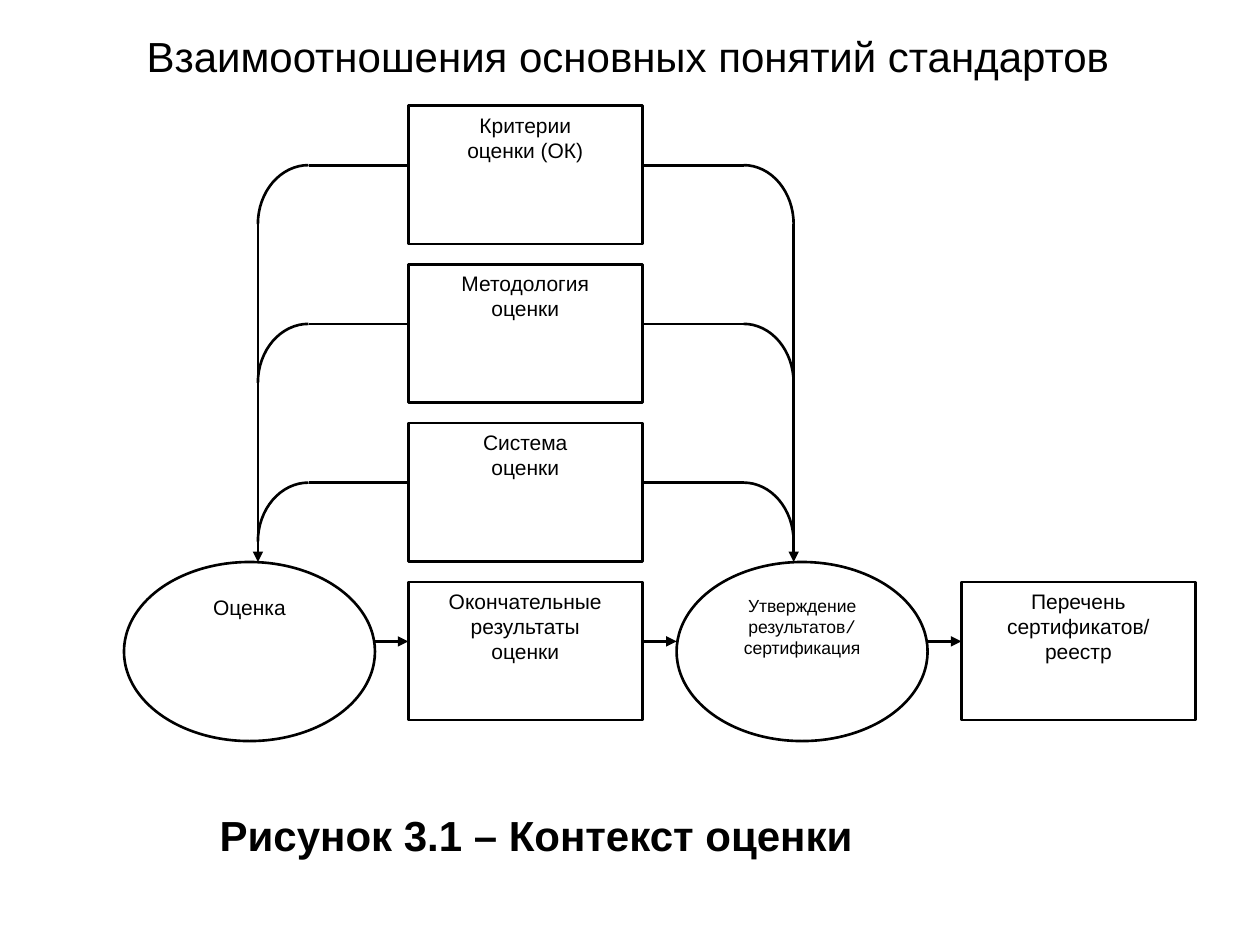
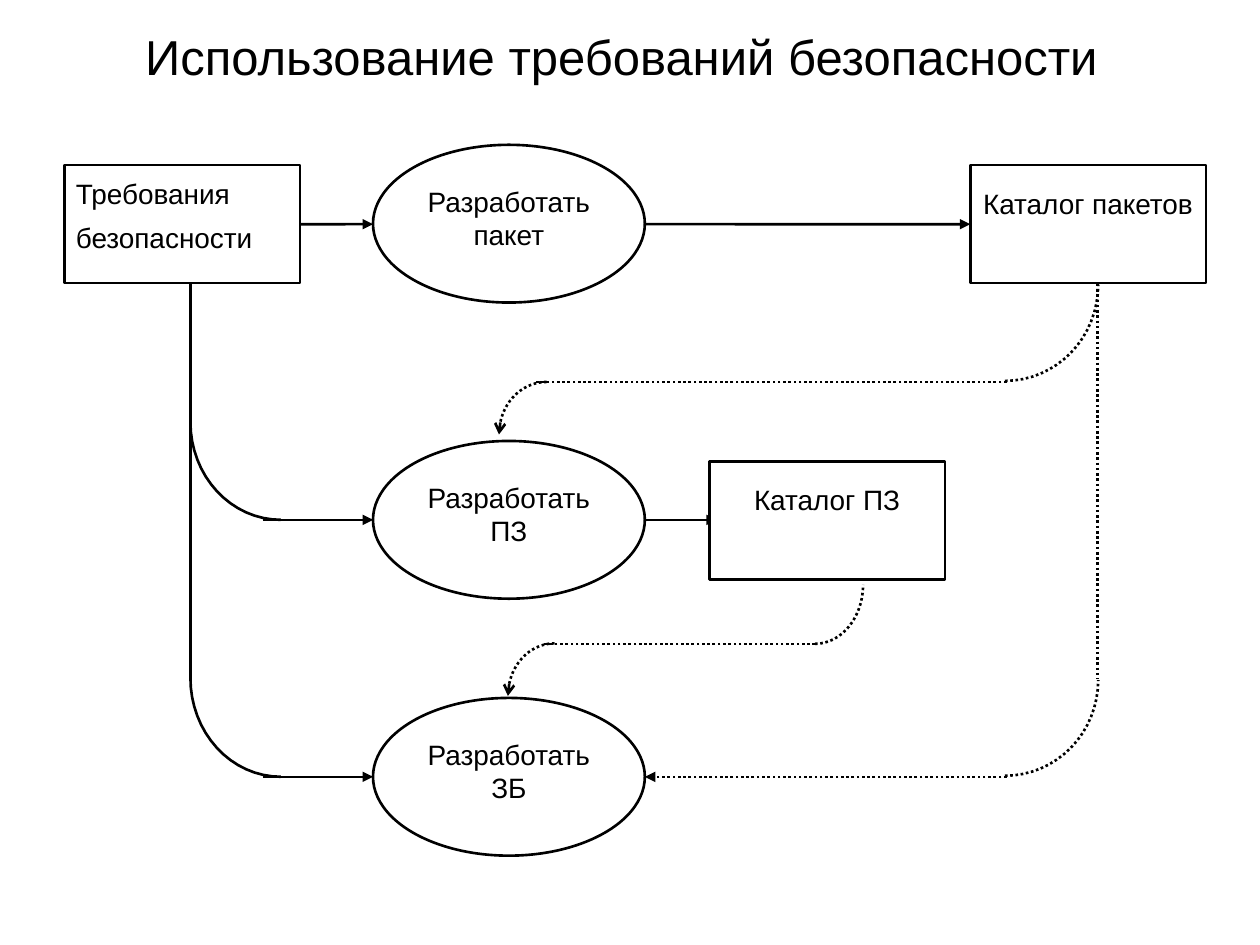
"""Builds two slides of diagrams on security evaluation."""
from dataclasses import dataclass
from math import cos, pi, sin

from lxml import etree
from pptx import Presentation
from pptx.dml.color import RGBColor
from pptx.enum.dml import MSO_LINE
from pptx.enum.shapes import MSO_CONNECTOR, MSO_SHAPE
from pptx.enum.text import MSO_ANCHOR, PP_ALIGN
from pptx.oxml.ns import qn
from pptx.util import Cm, Pt

RECT, OVAL = MSO_SHAPE.RECTANGLE, MSO_SHAPE.OVAL
STRAIGHT, DOTS = MSO_CONNECTOR.STRAIGHT, MSO_LINE.ROUND_DOT
TOP, MIDDLE, BOTTOM = MSO_ANCHOR.TOP, MSO_ANCHOR.MIDDLE, MSO_ANCHOR.BOTTOM
LEFT, CENTER = PP_ALIGN.LEFT, PP_ALIGN.CENTER


@dataclass(frozen=True)
class Theme:
    ink: RGBColor = RGBColor(0, 0, 0)
    paper: RGBColor = RGBColor(255, 255, 255)
    face: str = "Arial"
    mono: str = "Courier New"
    line: float = 1.5
    tiny: int = 10
    small: int = 12
    body: int = 16
    head: int = 24
    large: int = 28


THEME = Theme()


def add_box(slide, kind, frame, lines, size, inset=0.13, anchor=TOP,
            align=CENTER, after=0, bold=None):
    place = [Cm(n) for n in frame]
    if kind is None:
        box = slide.shapes.add_textbox(*place)
    else:
        box = slide.shapes.add_shape(kind, *place)
        box.shadow.inherit = False
        box.fill.solid()
        box.fill.fore_color.rgb = THEME.paper
        box.line.color.rgb = THEME.ink
        box.line.width = Pt(THEME.line)
    frame = box.text_frame
    frame.word_wrap = True
    frame.vertical_anchor = anchor
    frame.margin_left = frame.margin_right = Cm(0.23)
    frame.margin_top, frame.margin_bottom = Cm(inset), Cm(0.13)
    for i, line in enumerate(lines):
        para = frame.paragraphs[0] if i == 0 else frame.add_paragraph()
        para.alignment = align
        para.space_after = Pt(after)
        for text, face in [(line, THEME.face)] if isinstance(line, str) else line:
            run = para.add_run()
            run.text = text
            run.font.name = face
            run.font.size = Pt(size)
            run.font.bold = bold
            run.font.color.rgb = THEME.ink
    return box


def ink_line(shape, tip=None, dash=None):
    shape.line.color.rgb = THEME.ink
    shape.line.width = Pt(THEME.line)
    if dash:
        shape.line.dash_style = dash
    props = shape._element.spPr
    if tip:
        etree.SubElement(props.find(qn("a:ln")), qn("a:tailEnd"), type=tip)
    etree.SubElement(props, qn("a:effectLst"))


deck = Presentation()
deck.slide_width, deck.slide_height = Cm(25.4), Cm(19.05)
blank = deck.slide_layouts[6]

titles = [
    ("Взаимоотношения основных понятий стандартов", THEME.head),
    ("Использование требований безопасности ", THEME.large),
]
for title, size in titles:
    slide = deck.slides.add_slide(blank)
    add_box(slide, None, (0.41, 0.13, 24.5, 2), [title], size, anchor=MIDDLE)
terms, needs = deck.slides

wide, high, step = 4.72, 2.79, 3.2
stack = [
    ("Критерии", "оценки (ОК)"),
    ("Методология", "оценки"),
    ("Система", "оценки"),
    ("Окончательные", "результаты", "оценки"),
]
for i, lines in enumerate(stack):
    add_box(terms, RECT, (8.23, 2.13 + i * step, wide, high), lines, THEME.small)
add_box(terms, RECT, (19.38, 11.73, wide, high),
        ("Перечень", "сертификатов/", "реестр"), THEME.small)
verdict = [("Утверждение результатов", THEME.face), ("/ ", THEME.mono),
           ("сертификация", THEME.face)]
ovals = [(2.5, "Оценка", THEME.small), (13.64, verdict, THEME.tiny)]
for x, line, size in ovals:
    add_box(terms, OVAL, (x, 11.33, 5.06, 3.61), [line], size)
add_box(terms, None, (4.17, 14.17, 13.28, 3.3),
        ["Рисунок 3.1 – Контекст оценки"], THEME.head, anchor=BOTTOM, bold=True)

for y, goal in [(2.92, "пакет"), (8.89, "ПЗ"), (14.07, "ЗБ")]:
    add_box(needs, OVAL, (7.52, y, 5.48, 3.18), ("Разработать", goal),
            THEME.body, inset=0.33)
source = add_box(needs, RECT, (1.3, 3.33, 4.75, 2.38),
                 ("Требования", "безопасности"), THEME.body,
                 inset=0.23, align=LEFT, after=6)
packs = add_box(needs, RECT, (19.56, 3.33, 4.75, 2.38),
                ["Каталог пакетов"], THEME.body, inset=0.43)

head = "triangle"
lines = [(terms, a, 12.93, b, 12.93, head, None)
         for a, b in [(7.56, 8.23), (12.95, 13.64), (18.7, 19.38)]]
lines += [(terms, x, 4.52, x, 11.33, head, None) for x in (5.2, 16)]
curves = []
for i in range(3):
    y = 3.33 + i * step
    for side, bend, rail in [(8.23, 6.22, 5.2), (12.95, 14.99, 16)]:
        lines.append((terms, side, y, bend, y, None, None))
        curves.append((terms, bend, y, rail, y + 1.19, None, None))

lines += [
    (needs, 13, 10.48, 14.45, 10.48, head, None),
    (needs, 3.84, 5.72, 3.84, 13.69, None, None),
    (needs, 5.31, 10.48, 7.52, 10.48, head, None),
    (needs, 5.31, 15.66, 7.52, 15.66, head, None),
    (needs, 20.29, 7.7, 10.8, 7.7, None, DOTS),
    (needs, 22.12, 5.72, 22.12, 13.69, None, DOTS),
    (needs, 20.29, 15.66, 13, 15.66, head, DOTS),
    (needs, 16.43, 12.98, 10.95, 12.98, None, DOTS),
]
curves += [
    (needs, 5.66, 10.48, 3.84, 8.51, None, None),
    (needs, 5.66, 15.66, 3.84, 13.67, None, None),
    (needs, 20.26, 7.68, 22.14, 5.74, None, DOTS),
    (needs, 20.26, 15.64, 22.14, 13.71, None, DOTS),
    (needs, 11.02, 7.7, 10.06, 8.76, "arrow", DOTS),
    (needs, 11.18, 12.97, 10.24, 14.03, "arrow", DOTS),
    (needs, 16.43, 12.98, 17.4, 11.79, None, DOTS),
]

for slide, *ends, tip, dash in lines:
    wire = slide.shapes.add_connector(STRAIGHT, *[Cm(n) for n in ends])
    ink_line(wire, tip, dash)

first = needs.shapes.add_connector(STRAIGHT, Cm(6.05), Cm(4.52), Cm(7.52), Cm(4.52))
first.begin_connect(source, 3)
last = needs.shapes.add_connector(STRAIGHT, Cm(13), Cm(4.52), Cm(19.56), Cm(4.52))
last.end_connect(packs, 1)
for wire in (first, last):
    ink_line(wire, head)

parts = 16
for slide, x, y, far, low, tip, dash in curves:
    turns = [i * pi / 2 / parts for i in range(1, parts + 1)]
    points = [(Cm(x + (far - x) * sin(t)), Cm(y + (low - y) * (1 - cos(t))))
              for t in turns]
    path = slide.shapes.build_freeform(Cm(x), Cm(y))
    path.add_line_segments(points, close=False)
    curve = path.convert_to_shape()
    curve.fill.background()
    ink_line(curve, tip, dash)

add_box(needs, RECT, (14.3, 9.3, 4.75, 2.38), ["Каталог ПЗ"], THEME.body, inset=0.43)

deck.save("out.pptx")
